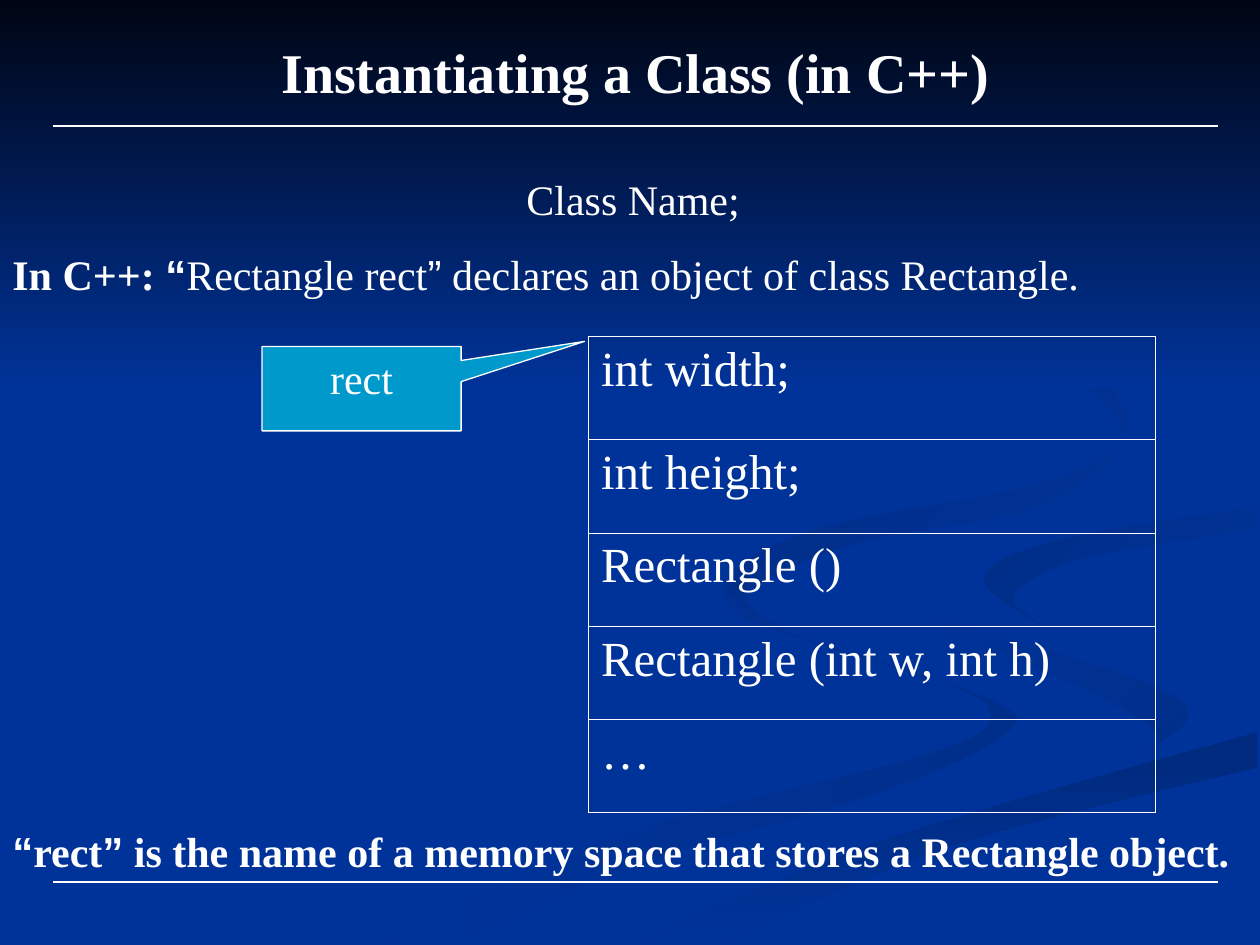
from lxml import etree
from pptx import Presentation
from pptx import util as u
from pptx.dml.color import RGBColor
from pptx.enum import shapes, text
from pptx.oxml.ns import qn

COLORS = {"white": "FFFFFF", "blue": "003399", "night": "000514", "cyan": "0099CC",
          "shade": "002E8B", "deep": "002A7D", "dusk": "002D86", "arc": "002B82"}
SERIF, SANS = "Times New Roman", "Arial"

TITLE = "Instantiating a Class (in C++)"
MEMBERS = ["int width;", "int height;", "Rectangle ()", "Rectangle (int w, int h)", "…"]
FIRST_ROW, OTHER_ROWS = 0.82, 0.74
RULES_Y = [1, 7]

# Each span: words, font, bold
DECLARATION = [("In C++: ", SERIF, True), ("“", SANS, True), ("Rectangle rect", SERIF, False),
               ("”", SANS, False), (" declares an object of class Rectangle.", SERIF, False)]
SUMMARY = [("“", SANS, True), ("rect", SERIF, True), ("”", SANS, True),
           (" is the name of a memory space that stores a Rectangle object.", SERIF, True)]

# Background ribbons: start colour, end colour, clockwise angle, the two curved edges
RIBBONS = [
    ("shade", "blue", 180,
     [(3, 7.49), (5, 6.61), (7.39, 5.98), (7.86, 5.66), (7.41, 5.39), (5.93, 4.91), (5.75, 4.59)],
     [(5.75, 4.59), (6.26, 5.02), (7.81, 5.53), (8, 5.81), (7, 6.28), (5, 6.87), (3.61, 7.49)]),
    ("shade", "blue", 225,
     [(8.94, 6.05), (9.18, 5.81), (8.38, 5.36), (7.46, 5), (7.24, 4.64)],
     [(7.24, 4.64), (7.45, 4.9), (9.05, 5.4), (9.43, 5.7), (8.94, 6.05)]),
    ("deep", "blue", 90,
     [(5.03, 7.49), (6.96, 6.69), (9.98, 5.81)],
     [(9.98, 6.09), (7.52, 6.72), (5.71, 7.49)]),
    ("blue", "dusk", 225,
     [(9.98, 4.02), (8.35, 4.3), (7.81, 4.6), (8.26, 4.96)],
     [(8.26, 4.96), (8.05, 4.72), (8.59, 4.43), (9.98, 4.2)]),
    ("blue", "arc", 225,
     [(7.62, 2.33), (8.64, 2.91), (8.94, 3.44), (8.25, 4.02), (6.83, 4.3), (5.93, 4.7), (6.22, 5)],
     [(6.22, 5), (5.77, 4.62), (6.49, 4.2), (8.3, 3.82), (8.89, 3.35), (7.62, 2.33)]),
]


def rgb(name):
    return RGBColor.from_string(COLORS[name])


def write(frame, spans, size=24, align=text.PP_ALIGN.LEFT, wrap=True):
    frame.word_wrap = wrap
    frame.vertical_anchor = text.MSO_ANCHOR.TOP
    para = frame.paragraphs[0]
    para.alignment = align
    for words, font, bold in spans:
        span = para.add_run()
        span.text = words
        span.font.name, span.font.size, span.font.bold = font, u.Pt(size), bold
        span.font.color.rgb = rgb("white")


def add_text(page, area, spans, **style):
    box = page.shapes.add_textbox(*map(u.Inches, area))
    write(box.text_frame, spans, **style)


def paint_gradient(shape, start, end, angle):
    shape.shadow.inherit = False
    shape.line.fill.background()
    shape.fill.gradient()
    shape.fill.gradient_angle = 360 - angle
    for stop, name, position in zip(shape.fill.gradient_stops, (start, end), (0, 1)):
        stop.color.rgb = rgb(name)
        stop.position = position


def smooth(knots, steps=6):
    """Return points on a Catmull-Rom curve through the knots."""
    padded = [knots[0], *knots, knots[-1]]
    points = []
    for a, b, c, d in zip(padded, padded[1:], padded[2:], padded[3:]):
        for step in range(steps):
            t = step / steps
            points.append(tuple(
                q + t * (r - p) / 2 + t**2 * (2 * p - 5 * q + 4 * r - s) / 2
                + t**3 * (3 * q - p - 3 * r + s) / 2
                for p, q, r, s in zip(a, b, c, d)))
    return points + [knots[-1]]


def add_ribbon(page, start, end, angle, outward, back):
    points = [(u.Inches(x), u.Inches(y)) for x, y in smooth(outward) + smooth(back)]
    builder = page.shapes.build_freeform(*points[0], scale=1.0)
    builder.add_line_segments(points[1:], close=True)
    paint_gradient(builder.convert_to_shape(), start, end, angle)


def add_rule(page, y):
    rule = page.shapes.add_connector(shapes.MSO_CONNECTOR.STRAIGHT, u.Inches(0.42), u.Inches(y),
                                     u.Inches(9.67), u.Inches(y))
    rule.line.color.rgb = rgb("white")
    rule.line.width = u.Pt(0.75)
    etree.SubElement(rule._element.spPr, qn("a:effectLst"))


def set_borders(cell, **widths):
    """Draw white cell borders; widths are points, in the order L, R, T, B."""
    props = cell._tc.get_or_add_tcPr()
    for side, width in widths.items():
        line = etree.SubElement(props, qn("a:ln" + side), w=str(u.Pt(width)))
        fill = etree.SubElement(line, qn("a:solidFill"))
        etree.SubElement(fill, qn("a:srgbClr"), val=COLORS["white"])


def add_members(page):
    last = len(MEMBERS) - 1
    table = page.shapes.add_table(len(MEMBERS), 1, u.Inches(4.67), u.Inches(2.67), u.Inches(4.5),
                                  u.Inches(FIRST_ROW + last * OTHER_ROWS)).table
    table.first_row = table.horz_banding = False
    outer, inner = 1.08, 0.45
    for i, member in enumerate(MEMBERS):
        table.rows[i].height = u.Inches(OTHER_ROWS if i else FIRST_ROW)
        cell = table.cell(i, 0)
        set_borders(cell, L=outer, R=outer, T=inner if i else outer,
                    B=inner if i < last else outer)
        cell.fill.background()
        write(cell.text_frame, [(member, SERIF, False)], size=28)


def add_callout(page):
    callout = page.shapes.add_shape(shapes.MSO_SHAPE.RECTANGULAR_CALLOUT,
                                    *map(u.Inches, (2.08, 2.75, 1.58, 0.67)))
    callout.adjustments[0], callout.adjustments[1] = 1.12, -0.56
    callout.shadow.inherit = False
    callout.fill.solid()
    callout.fill.fore_color.rgb = rgb("cyan")
    callout.line.color.rgb = rgb("white")
    callout.line.width = u.Pt(0.75)
    write(callout.text_frame, [("rect", SERIF, False)], align=text.PP_ALIGN.CENTER)


def main():
    deck = Presentation()
    deck.slide_width, deck.slide_height = u.Inches(10), u.Inches(7.5)
    page = deck.slides.add_slide(deck.slide_layouts[6])
    page.background.fill.solid()
    page.background.fill.fore_color.rgb = rgb("blue")
    for ribbon in RIBBONS:
        add_ribbon(page, *ribbon)
    sky = page.shapes.add_shape(shapes.MSO_SHAPE.RECTANGLE, 0, 0, deck.slide_width, u.Inches(3.08))
    paint_gradient(sky, "night", "blue", 90)
    add_text(page, (0.42, 0.25, 9.25, 0.67), [(TITLE, SERIF, True)], size=32,
             align=text.PP_ALIGN.CENTER)
    for y in RULES_Y:
        add_rule(page, y)
    add_text(page, (4.08, 1.33, 2.08, 0.5), [("Class Name;", SERIF, False)])
    add_text(page, (0, 1.92, 9.75, 0.5), DECLARATION)
    add_members(page)
    add_callout(page)
    add_text(page, (0, 6.5, 9.87, 0.5), SUMMARY, wrap=False)
    deck.save("out.pptx")


if __name__ == "__main__":
    main()
